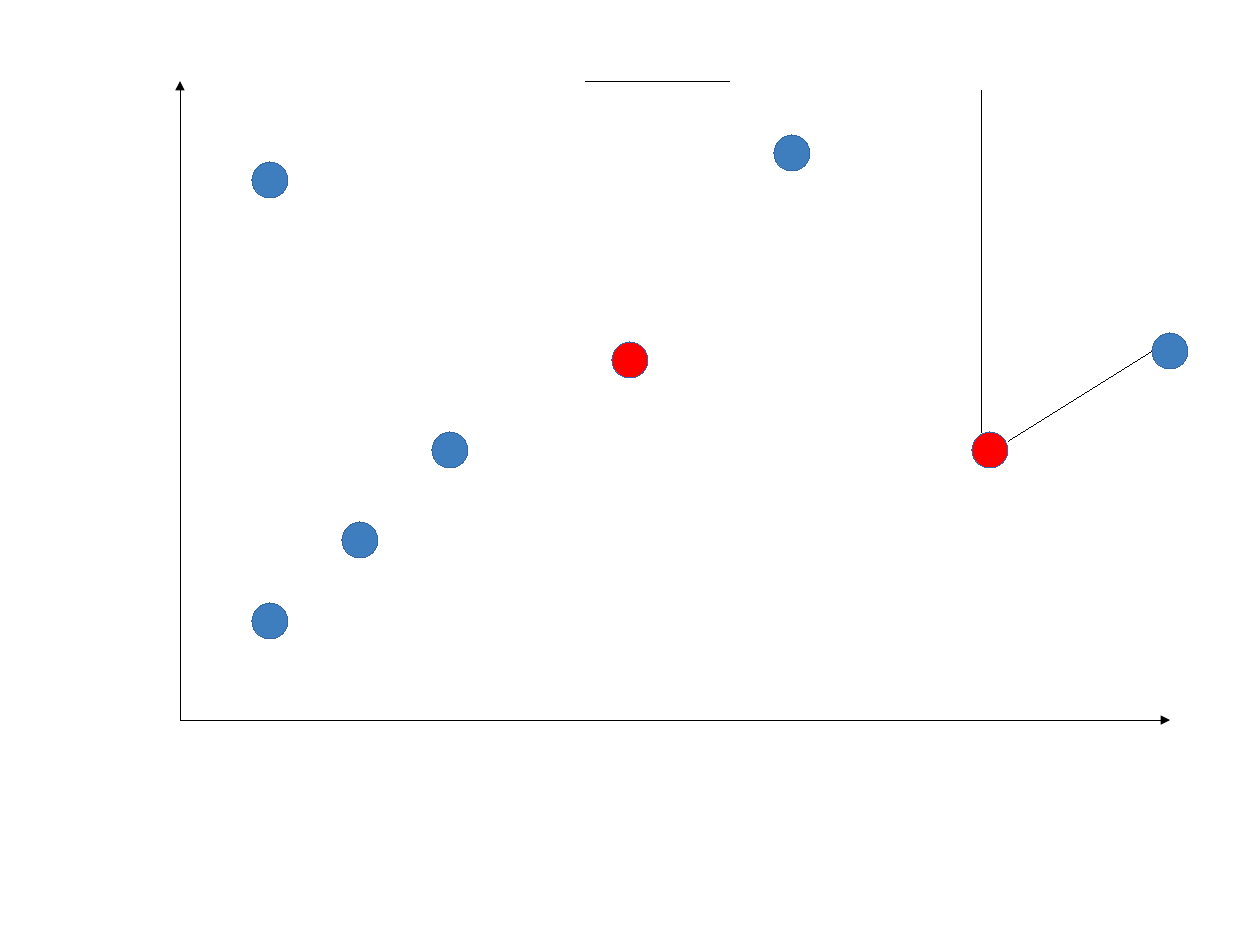
from typing import NamedTuple

from lxml import etree
from pptx import Presentation
from pptx import util as u
from pptx.dml.color import RGBColor
from pptx.enum import shapes
from pptx.oxml.ns import qn

EMU_PER_PX = 36000  # one px of the layout grid is one millimetre
DOT_SIZE = 8
BLUE, RED = "3F7EBE", "FF0000"
OUTLINE, BLACK = "3465A4", "000000"


class Dot(NamedTuple):
    left: int
    top: int
    fill: str = BLUE


class Line(NamedTuple):
    start: tuple[int, int]
    end: tuple[int, int]
    arrow: str = ""


ORIGIN = (40, 160)
DOTS = [
    Dot(76, 116),
    Dot(216, 96, RED),
    Dot(56, 134),
    Dot(136, 76, RED),
    Dot(96, 96),
    Dot(172, 30),
    Dot(256, 74),
    Dot(56, 36),
]
LINES = [
    Line((40, 18), ORIGIN, arrow="a:headEnd"),
    Line(ORIGIN, (260, 160), arrow="a:tailEnd"),
    Line((218, 20), (218, 96)),
    Line((224, 98), (256, 78)),
    Line((162, 18), (130, 18)),
]


def px(length: int) -> u.Emu:
    return u.Emu(length * EMU_PER_PX)


def color(hex_string: str) -> RGBColor:
    return RGBColor.from_string(hex_string)


def set_hairline(item, hex_string: str) -> etree._Element:
    """Give the item a zero-width line and return its a:ln element."""
    item.line.color.rgb = color(hex_string)
    outline = item._element.spPr.find(qn("a:ln"))
    outline.set("w", "0")  # the width property leaves a zero out
    return outline


def draw_dot(slide, dot: Dot) -> None:
    shape = slide.shapes.add_shape(
        shapes.MSO_SHAPE.OVAL, px(dot.left), px(dot.top), px(DOT_SIZE), px(DOT_SIZE)
    )
    shape.shadow.inherit = False
    shape.fill.solid()
    shape.fill.fore_color.rgb = color(dot.fill)
    set_hairline(shape, OUTLINE)


def draw_line(slide, line: Line) -> None:
    connector = slide.shapes.add_connector(
        shapes.MSO_CONNECTOR.STRAIGHT, *map(px, line.start + line.end)
    )
    outline = set_hairline(connector, BLACK)
    if line.arrow:
        etree.SubElement(outline, qn(line.arrow), type="triangle")
    etree.SubElement(connector._element.spPr, qn("a:effectLst"))


def main() -> None:
    presentation = Presentation()
    presentation.slide_width = px(280)
    presentation.slide_height = px(210)
    slide = presentation.slides.add_slide(presentation.slide_layouts[6])
    for dot in DOTS:
        draw_dot(slide, dot)
    for line in LINES:
        draw_line(slide, line)
    presentation.save("out.pptx")


if __name__ == "__main__":
    main()
